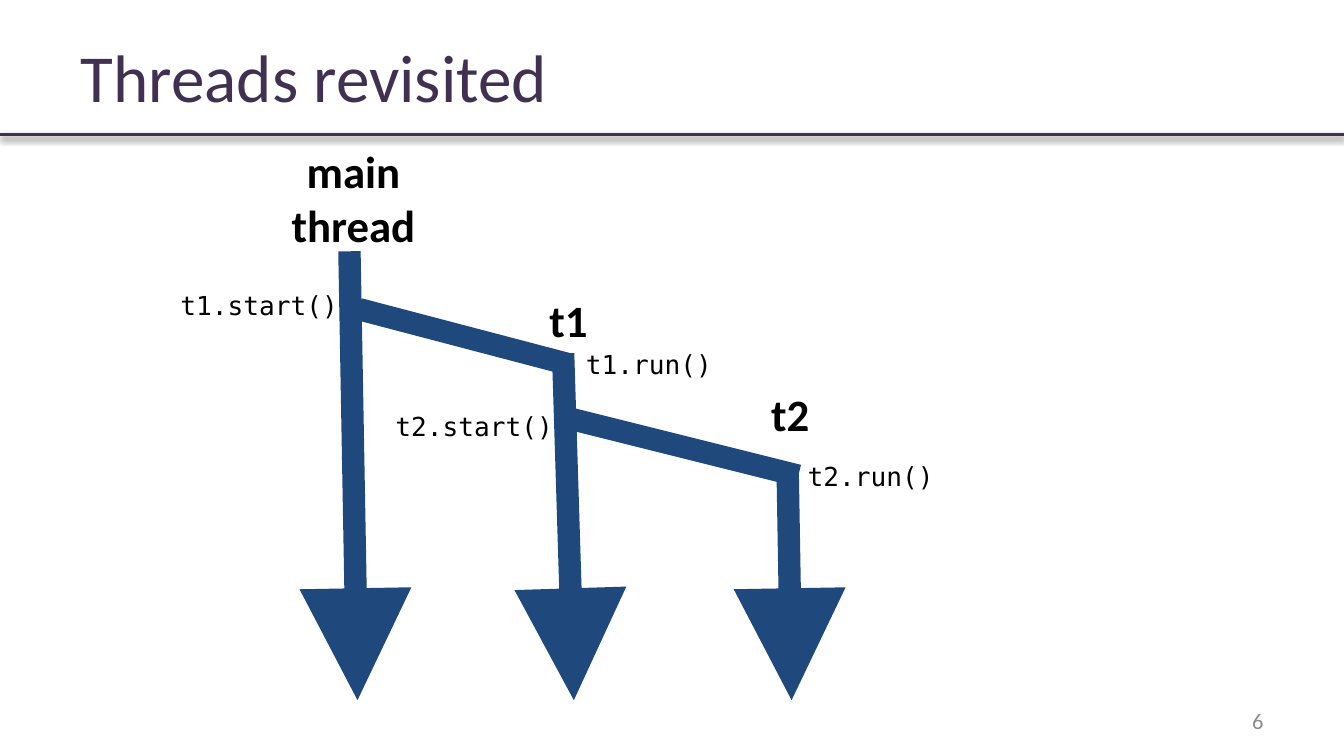
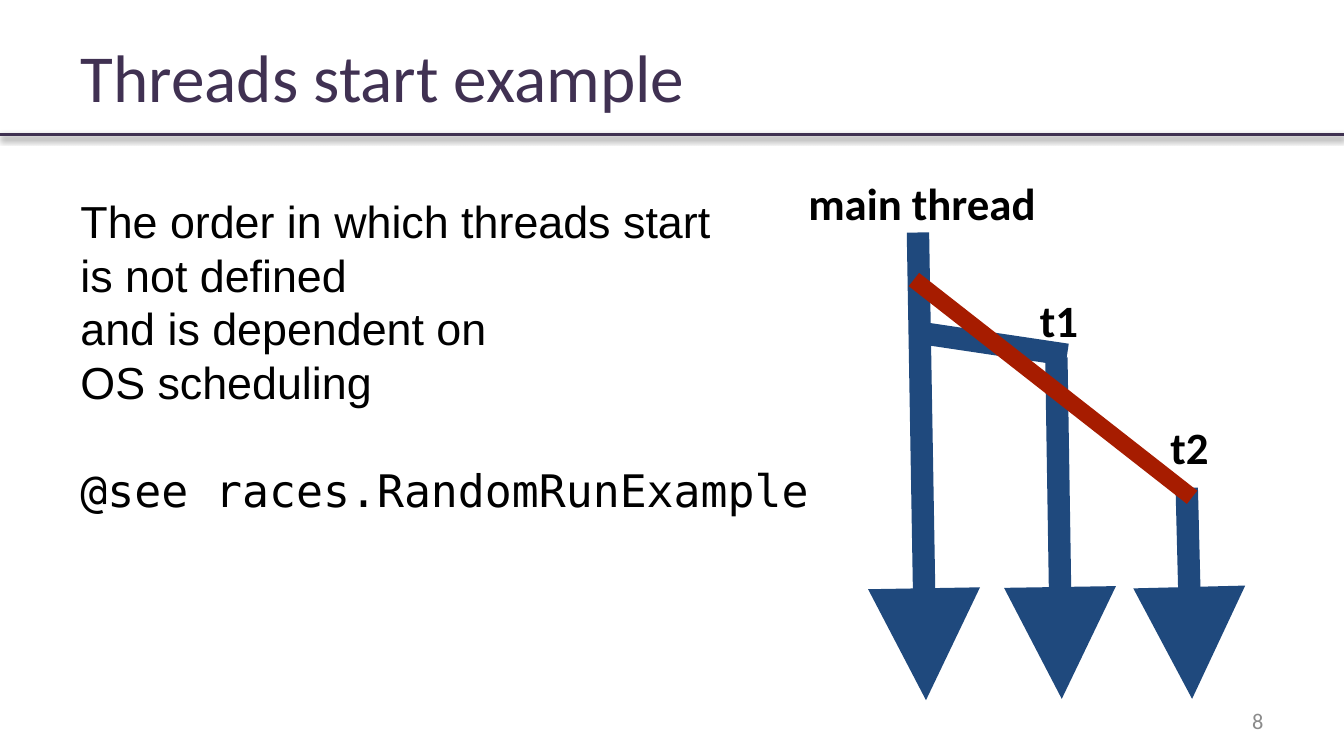
import dataclasses

import pptx
import pptx.dml.color
import pptx.enum.shapes
import pptx.enum.text
import pptx.oxml
import pptx.oxml.ns
import pptx.util


@dataclasses.dataclass(frozen=True)
class Theme:
    title: str = "403152"
    rule: str = "3F3151"
    thread: str = "1F497D"
    late: str = "A61C00"
    ink: str = "000000"
    muted: str = "8B8B8B"
    sans: str = "Calibri"
    body: str = "Arial"
    mono: str = "DejaVu Sans Mono"
    title_pt: int = 36
    label_pt: int = 24
    code_pt: int = 14
    number_pt: int = 12


T = Theme()
ALIGN = pptx.enum.text.PP_ALIGN
ANCHOR = pptx.enum.text.MSO_ANCHOR
NS = pptx.oxml.ns.nsdecls("a")
SHADOW = (
    f'<a:effectLst {NS}><a:outerShdw blurRad="40000" dist="20000" dir="5400000" rotWithShape="0">'
    '<a:srgbClr val="000000"><a:alpha val="38000"/></a:srgbClr></a:outerShdw></a:effectLst>'
)

prs = pptx.Presentation()
prs.slide_width = pptx.util.Inches(10)
prs.slide_height = prs.slide_width * 9 // 16
COL = prs.slide_width / 100
ROW = prs.slide_height / 56.25


def write(s, text, box, sp=None, font=T.sans, size=T.label_pt, color=T.ink, bold=False,
          align=ALIGN.CENTER, anchor=ANCHOR.TOP, pad=1):
    x, y, w, h = int(box[0] * COL), int(box[1] * ROW), int(box[2] * COL), int(box[3] * ROW)
    sp = sp or s.shapes.add_textbox(x, y, w, h)
    sp.left, sp.top, sp.width, sp.height = x, y, w, h
    tf = sp.text_frame
    tf.word_wrap = True
    tf.auto_size = pptx.enum.text.MSO_AUTO_SIZE.NONE
    tf.vertical_anchor = anchor
    tf.margin_left = tf.margin_right = int(COL)
    tf.margin_top = tf.margin_bottom = int(pad * ROW)
    tf.text = text
    for p in tf.paragraphs:
        p.alignment = align
        for r in p.runs:
            r.font.name = font
            r.font.size = pptx.util.Pt(size)
            r.font.bold = bold
            r.font.color.rgb = pptx.dml.color.RGBColor.from_string(color)
    return tf


def draw_line(s, x1, y1, x2, y2, color=T.thread, weight=12, arrow=False, effect=f"<a:effectLst {NS}/>"):
    cx = s.shapes.add_connector(pptx.enum.shapes.MSO_CONNECTOR.STRAIGHT,
                                int(x1 * COL), int(y1 * ROW), int(x2 * COL), int(y2 * ROW))
    cx.line.color.rgb = pptx.dml.color.RGBColor.from_string(color)
    cx.line.width = pptx.util.Pt(weight)
    if arrow:
        cx.line._get_or_add_ln().append(
            pptx.oxml.parse_xml(f'<a:tailEnd {NS} type="triangle" w="lg" len="lg"/>'))
    cx._element.spPr.append(pptx.oxml.parse_xml(effect))


slides = [
    {
        "title": "Threads revisited",
        "number": "6",
        "threads": [(26, 18.7, 26.6, 52.1), (41.9, 26.3, 42.7, 52.1), (58.6, 34.6, 58.9, 52.1)],
        "forks": [(42.3, 27.1, 26.7, 23, T.thread, 12), (59.4, 35.4, 42.6, 31.2, T.thread, 12)],
        "labels": [("main thread", 19.8, 9.7, 13), ("t1", 35.8, 20.8, 13), ("t2", 52.3, 27.8, 13)],
        "calls": [("t1.start()", 6.8, 20), ("t2.start()", 22.8, 29),
                  ("t1.run()", 35.8, 24.4), ("t2.run()", 52.3, 32.7)],
    },
    {
        "title": "Threads start example",
        "number": "8",
        "threads": [(68.3, 17.3, 68.9, 52.1), (78.6, 26.6, 79, 52), (88.3, 36.3, 88.7, 52)],
        "forks": [(79.4, 26.4, 68, 24.7, T.thread, 12), (88.7, 37, 68, 20.8, T.late, 9)],
        "labels": [("main thread", 59, 12.1, 19.2), ("t1", 72.3, 20.8, 13), ("t2", 82, 30.2, 13)],
        "calls": [],
    },
]

for item in slides:
    s = prs.slides.add_slide(prs.slide_layouts[5])
    draw_line(s, 0, 10, 100, 10, color=T.rule, weight=2, effect=SHADOW)
    write(s, item["title"], (5, 2.3, 90, 6.7), sp=s.shapes.title, size=T.title_pt, color=T.title,
          align=ALIGN.LEFT, anchor=ANCHOR.MIDDLE, pad=0.5)
    write(s, item["number"], (71.7, 52.1, 23.3, 3), size=T.number_pt, color=T.muted,
          align=ALIGN.RIGHT, anchor=ANCHOR.MIDDLE, pad=0.5)
    for thread in item["threads"]:
        draw_line(s, *thread, arrow=True)
    for fork in item["forks"]:
        draw_line(s, *fork)
    for text, x, y, w in item["labels"]:
        write(s, text, (x, y, w, 5.4), bold=True)
    for text, x, y in item["calls"]:
        write(s, text, (x, y, 25, 5.4), font=T.mono, size=T.code_pt, anchor=ANCHOR.MIDDLE)

tf = write(s, "The order in which threads start\nis not defined\nand is dependent on\n"
           "OS scheduling\n@see races.RandomRunExample",
           (5, 13.4, 57.2, 27.3), font=T.body, align=ALIGN.LEFT)
p = tf.paragraphs[-1]
p.space_before = pptx.util.Pt(29)
p.runs[0].font.name = T.mono

prs.save("out.pptx")
